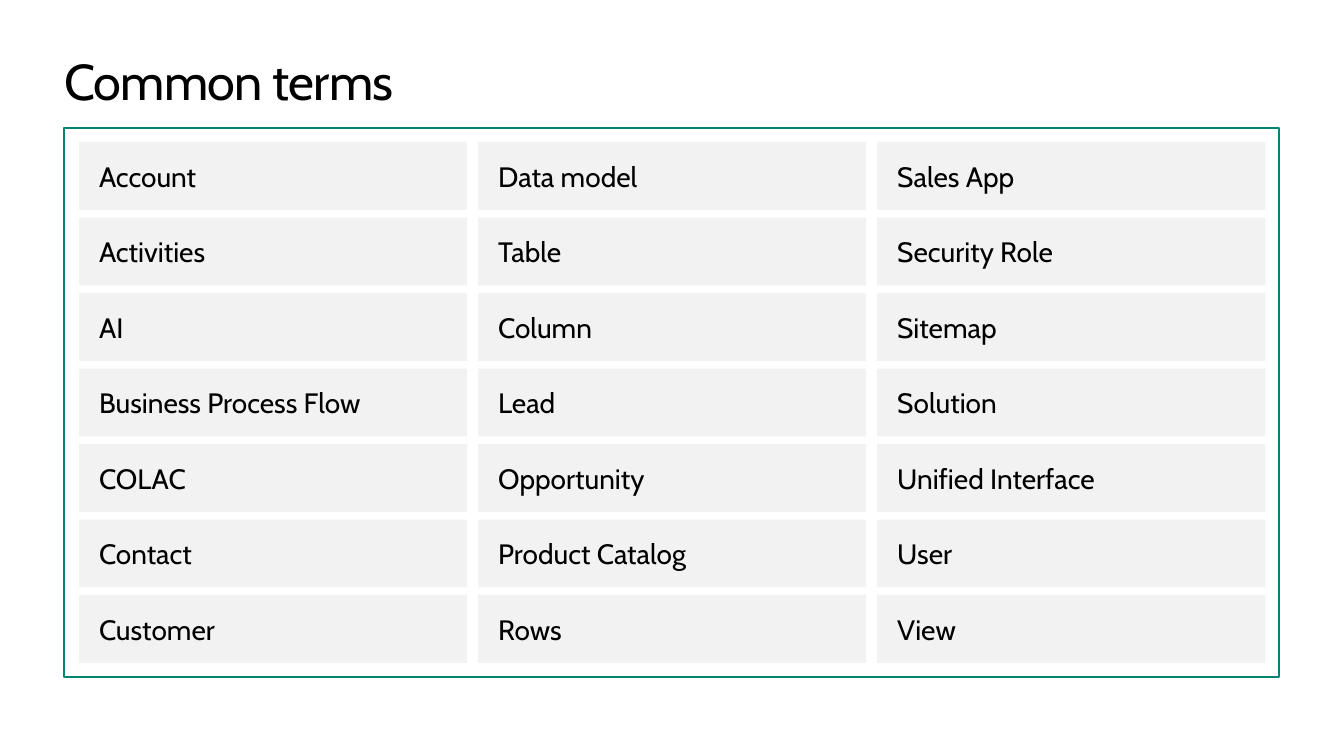
from pptx import Presentation
from pptx.dml.color import RGBColor
from pptx.enum.shapes import MSO_SHAPE as SHAPE
from pptx.enum.text import MSO_ANCHOR as ANCHOR, MSO_AUTO_SIZE as AUTO, PP_ALIGN as ALIGN
from pptx.util import Emu, Inches, Pt

BLACK = RGBColor(0x00, 0x00, 0x00)
GREEN = RGBColor(0x00, 0x85, 0x75)
GRAY = RGBColor(0xF2, 0xF2, 0xF2)
FONT = "Cabin"
SCALE = 914400 / 100.8

COLUMNS = [
    ["Account", "Activities", "AI", "Business Process Flow", "COLAC", "Contact", "Customer"],
    ["Data model", "Table", "Column", "Lead", "Opportunity", "Product Catalog", "Rows"],
    ["Sales App", "Security Role", "Sitemap", "Solution", "Unified Interface", "User", "View"],
]
GRID_LEFT, GRID_TOP, GRID_WIDTH, GRID_HEIGHT = 79, 142, 1186, 521
CELL_WIDTH, CELL_HEIGHT = 388, 68


def px(n):
    return Emu(round(n * SCALE))


def set_insets(tf, x, y):
    tf.margin_left = tf.margin_right = px(x)
    tf.margin_top = tf.margin_bottom = px(y)


def set_text(p, text, size):
    r = p.add_run()
    r.text = text
    p.alignment = ALIGN.LEFT
    p.font.name = FONT
    p.font.size = Pt(size)
    p.font.color.rgb = BLACK
    return r


def add_title(s, text):
    sp = s.shapes.title
    sp.left, sp.top, sp.width, sp.height = px(64), px(50), px(1215), px(62)
    tf = sp.text_frame
    tf.word_wrap = True
    tf.auto_size = AUTO.SHAPE_TO_FIT_TEXT
    tf.vertical_anchor = ANCHOR.TOP
    set_insets(tf, 0, 0)
    r = set_text(tf.paragraphs[0], text, 36)
    r._r.get_or_add_rPr().set("spc", "-50")


def add_rect(s, left, top, width, height):
    sp = s.shapes.add_shape(SHAPE.RECTANGLE, px(left), px(top), px(width), px(height))
    sp.shadow.inherit = False
    return sp


def add_frame(s):
    sp = add_rect(s, 64, 128, 1215, 549)
    sp.fill.background()
    sp.line.color.rgb = GREEN
    sp.line.width = Pt(1.5)


def add_term(s, left, top, text):
    sp = add_rect(s, left, top, CELL_WIDTH, CELL_HEIGHT)
    sp.fill.solid()
    sp.fill.fore_color.rgb = GRAY
    sp.line.fill.background()
    tf = sp.text_frame
    tf.word_wrap = True
    tf.vertical_anchor = ANCHOR.MIDDLE
    set_insets(tf, 20, 10)
    p = tf.paragraphs[0]
    p.space_before = Pt(4)
    set_text(p, text, 20)


def add_terms(s):
    column_step = (GRID_WIDTH - CELL_WIDTH) / (len(COLUMNS) - 1)
    for i, terms in enumerate(COLUMNS):
        row_step = (GRID_HEIGHT - CELL_HEIGHT) / (len(terms) - 1)
        for j, term in enumerate(terms):
            add_term(s, GRID_LEFT + i * column_step, GRID_TOP + j * row_step, term)


def main():
    prs = Presentation()
    prs.slide_width, prs.slide_height = Inches(13.33), Inches(7.5)
    s = prs.slides.add_slide(prs.slide_layouts[5])
    add_title(s, "Common terms")
    add_frame(s)
    add_terms(s)
    prs.save("out.pptx")


main()
